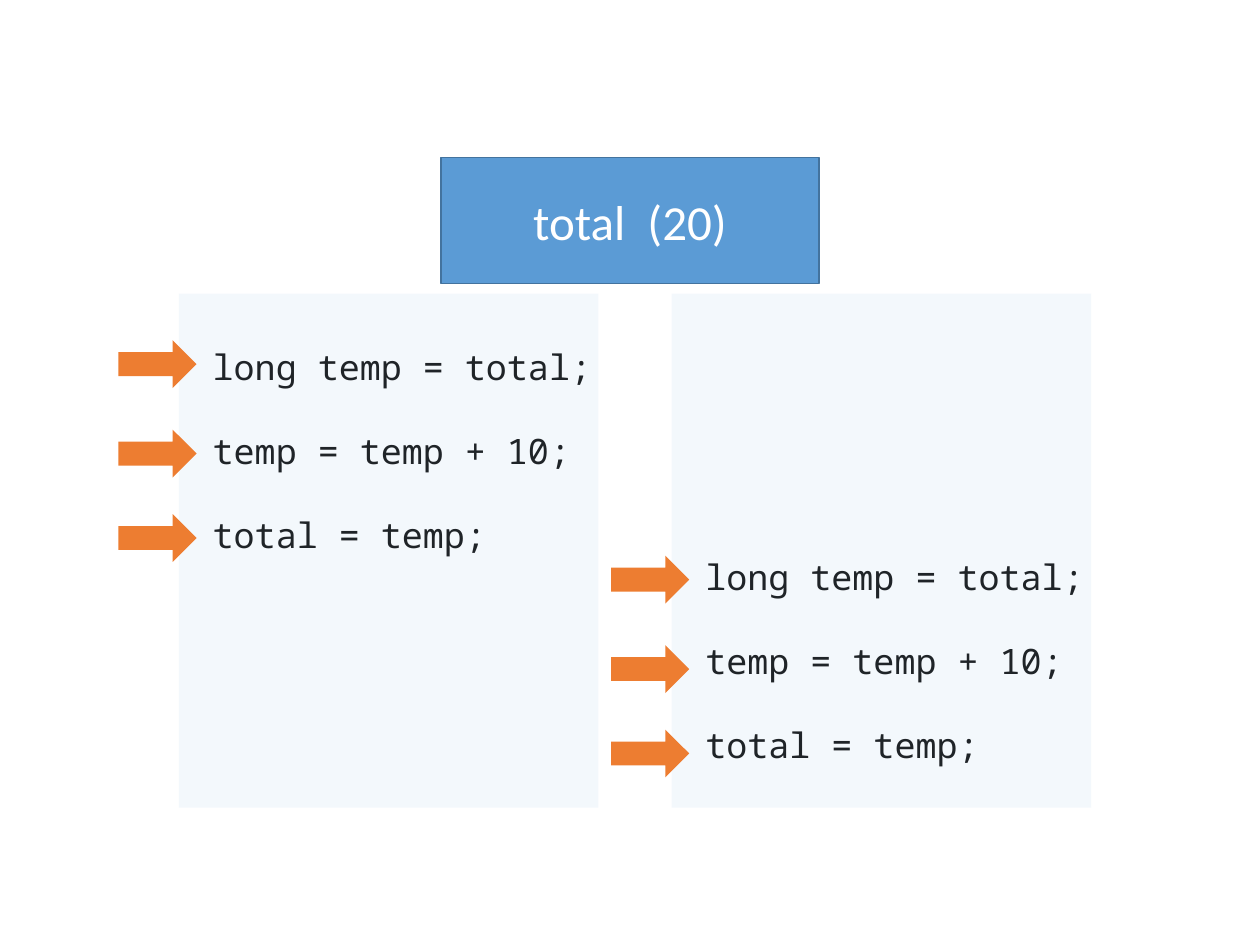
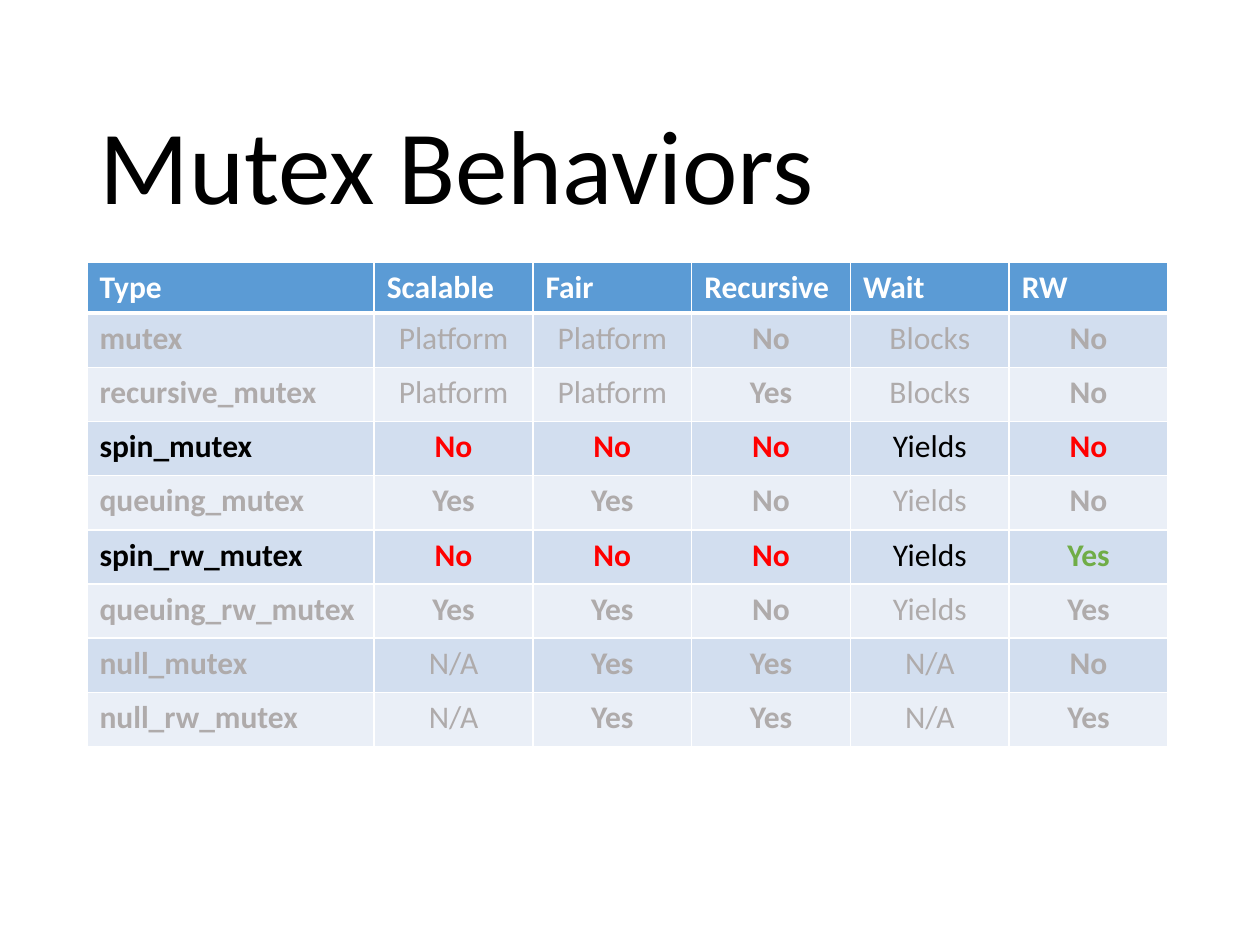
"""Build two slides on mutexes: a shared-total race and a table of mutex behaviors."""
from lxml import etree
from pptx import Presentation
from pptx.dml.color import RGBColor
from pptx.enum.shapes import MSO_SHAPE
from pptx.enum.text import MSO_ANCHOR, PP_ALIGN
from pptx.oxml.ns import qn
from pptx.util import Inches, Pt

RECTANGLE, ARROW = MSO_SHAPE.RECTANGLE, MSO_SHAPE.RIGHT_ARROW
LEFT, CENTER = PP_ALIGN.LEFT, PP_ALIGN.CENTER
BOTTOM, MIDDLE = MSO_ANCHOR.BOTTOM, MSO_ANCHOR.MIDDLE

BLACK = RGBColor(0x00, 0x00, 0x00)
WHITE = RGBColor(0xFF, 0xFF, 0xFF)
BLUE = RGBColor(0x5B, 0x9B, 0xD5)
DARK_BLUE = RGBColor(0x43, 0x73, 0x9E)
PALE_BLUE = RGBColor(0xBD, 0xD7, 0xEE)
ORANGE = RGBColor(0xED, 0x7D, 0x31)
RED = RGBColor(0xFF, 0x00, 0x00)
GREEN = RGBColor(0x70, 0xAD, 0x47)
GREY = RGBColor(0xAF, 0xAB, 0xAB)
BANDS = (RGBColor(0xD2, 0xDE, 0xEF), RGBColor(0xEA, 0xEF, 0xF7))
VERDICT_COLORS = {"No": RED, "Yes": GREEN}
BODY_FONT, CODE_FONT = "Calibri", "Noto Sans Mono"

SHARED_TOTAL = "total  (20)"
THREAD_CODE = ("long temp = total;", "temp = temp + 10;", "total = temp;")
THREADS = (
    {"panel_left": 1.42, "code_top": 2.69, "arrow_top": 2.7},
    {"panel_left": 5.33, "code_top": 4.36, "arrow_top": 4.41},
)
ARROW_STEPS = (0, 0.71, 1.38)

TITLE = "Mutex Behaviors"
BEHAVIORS = (
    ("Type", "Scalable", "Fair", "Recursive", "Wait", "RW"),
    ("mutex", "Platform", "Platform", "No", "Blocks", "No"),
    ("recursive_mutex", "Platform", "Platform", "Yes", "Blocks", "No"),
    ("spin_mutex", "No", "No", "No", "Yields", "No"),
    ("queuing_mutex", "Yes", "Yes", "No", "Yields", "No"),
    ("spin_rw_mutex", "No", "No", "No", "Yields", "Yes"),
    ("queuing_rw_mutex", "Yes", "Yes", "No", "Yields", "Yes"),
    ("null_mutex", "N/A", "Yes", "Yes", "N/A", "No"),
    ("null_rw_mutex", "N/A", "Yes", "Yes", "N/A", "Yes"),
)
HIGHLIGHTED = ("spin_mutex", "spin_rw_mutex")
TYPE_WIDTH, TRAIT_WIDTH = 2.28, 1.26
HEADER_HEIGHT, ROW_HEIGHT = 0.38, 0.43


def style(paragraph, size, color, font=BODY_FONT, bold=False, align=LEFT):
    paragraph.alignment = align
    for run in paragraph.runs:
        run.font.name, run.font.size, run.font.bold = font, Pt(size), bold
        run.font.color.rgb = color


def add_block(slide, kind, box, color, line=None, opacity=None):
    block = slide.shapes.add_shape(kind, *map(Inches, box))
    block.shadow.inherit = False
    block.fill.solid()
    block.fill.fore_color.rgb = color
    if opacity:
        fill_color = block.fill._xPr.find(qn("a:solidFill"))[0]
        etree.SubElement(fill_color, qn("a:alpha"), val=str(opacity * 1000))
    if line:
        block.line.color.rgb, block.line.width = line, Pt(1)
    else:
        block.line.fill.background()
    return block


def add_code(slide, left, top):
    code = slide.shapes.add_textbox(*map(Inches, (left, top, 3.5, 1.78))).text_frame
    code.word_wrap = True
    code.text = "\n".join(THREAD_CODE)
    for index, statement in enumerate(code.paragraphs):
        statement.line_spacing = Pt(24)
        statement.space_before = Pt(24 if index else 0)
        style(statement, 20, BLACK, CODE_FONT)


def build_race(deck):
    slide = deck.slides.add_slide(deck.slide_layouts[6])
    for thread in THREADS:
        add_code(slide, thread["panel_left"] + 0.17, thread["code_top"])
    for thread in THREADS:
        left = thread["panel_left"]
        add_block(slide, RECTANGLE, (left, 2.33, 3.33, 4.08), PALE_BLUE, opacity=17)
        for step in ARROW_STEPS:
            add_block(slide, ARROW, (left - 0.48, thread["arrow_top"] + step, 0.62, 0.38), ORANGE)
    total = add_block(slide, RECTANGLE, (3.5, 1.25, 3, 1), BLUE, line=DARK_BLUE).text_frame
    total.text = SHARED_TOTAL
    total.vertical_anchor = MIDDLE
    style(total.paragraphs[0], 28, WHITE, align=CENTER)


def set_borders(cell, top, bottom):
    properties = cell._tc.get_or_add_tcPr()
    for index, (side, width) in enumerate((("L", 1), ("R", 1), ("T", top), ("B", bottom))):
        border = etree.Element(qn(f"a:ln{side}"), w=str(Pt(width)))
        fill = etree.SubElement(border, qn("a:solidFill"))
        etree.SubElement(fill, qn("a:srgbClr"), val=str(WHITE))
        properties.insert(index, border)


def fill_cell(cell, row, column):
    value, name = BEHAVIORS[row][column], BEHAVIORS[row][0]
    cell.text = value
    cell.fill.solid()
    cell.fill.fore_color.rgb = BANDS[(row - 1) % 2] if row else BLUE
    if row == 0:
        color = WHITE
    elif name in HIGHLIGHTED:
        color = VERDICT_COLORS.get(value, BLACK)
    else:
        color = GREY
    bold = row == 0 or column == 0 or value in VERDICT_COLORS
    align = CENTER if row and column else LEFT
    style(cell.text_frame.paragraphs[0], 18, color, bold=bold, align=align)
    set_borders(cell, 3 if row == 1 else 1, 3 if row == 0 else 1)


def build_behaviors(deck):
    slide = deck.slides.add_slide(deck.slide_layouts[5])
    title = slide.shapes.title
    title.left, title.top, title.width, title.height = map(Inches, (0.69, 0.4, 8.62, 1.45))
    title.text_frame.text = TITLE
    title.text_frame.vertical_anchor = BOTTOM
    heading = title.text_frame.paragraphs[0]
    heading.line_spacing = 0.9
    style(heading, 60, BLACK)

    widths = [TYPE_WIDTH] + [TRAIT_WIDTH] * (len(BEHAVIORS[0]) - 1)
    heights = [HEADER_HEIGHT] + [ROW_HEIGHT] * (len(BEHAVIORS) - 1)
    box = map(Inches, (0.69, 2.08, sum(widths), sum(heights)))
    table = slide.shapes.add_table(len(heights), len(widths), *box).table
    for column, width in enumerate(widths):
        table.columns[column].width = Inches(width)
    for row, height in enumerate(heights):
        table.rows[row].height = Inches(height)
        for column in range(len(widths)):
            fill_cell(table.cell(row, column), row, column)


def main():
    deck = Presentation()
    deck.slide_width, deck.slide_height = Inches(10), Inches(7.5)
    build_race(deck)
    build_behaviors(deck)
    deck.save("out.pptx")


if __name__ == "__main__":
    main()
